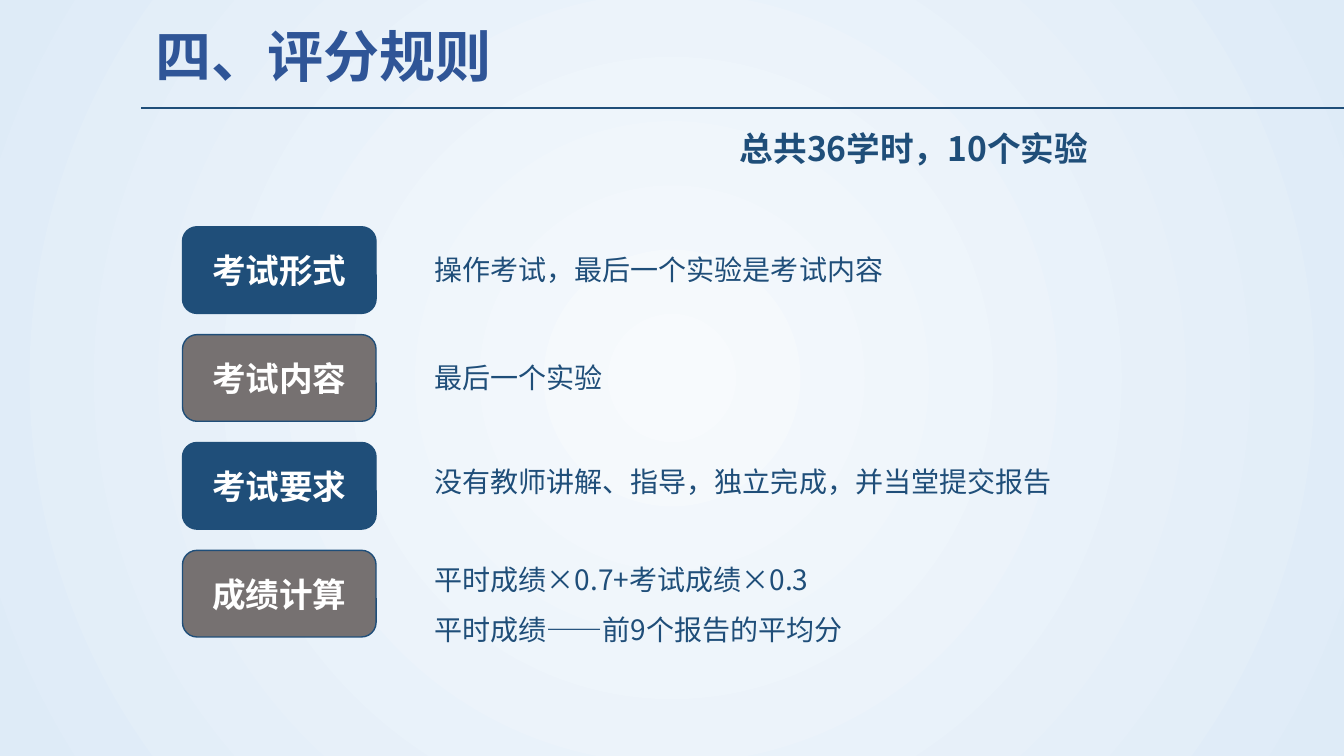
from dataclasses import dataclass

from lxml.etree import SubElement
from pptx import Presentation
from pptx.dml.color import RGBColor
from pptx.enum.shapes import MSO_CONNECTOR, MSO_SHAPE
from pptx.enum.text import MSO_ANCHOR, PP_ALIGN
from pptx.oxml import parse_xml
from pptx.oxml.ns import nsdecls, qn
from pptx.util import Inches, Pt


@dataclass(frozen=True)
class Theme:
    """Font, colours and type sizes of the slide."""
    font: str = "Noto Sans CJK SC"
    navy: str = "1F4E79"
    grey: str = "767171"
    title: str = "2F5597"
    white: str = "FFFFFF"
    center: str = "F7FAFD"
    edge: str = "DEEBF7"
    title_size: int = 40
    label_size: int = 24
    body_size: int = 20


THEME = Theme()
RULES = [
    ("考试形式", ["操作考试，最后一个实验是考试内容"], 2.46, 0.44),
    ("考试内容", ["最后一个实验"], 3.53, 0.44),
    ("考试要求", ["没有教师讲解、指导，独立完成，并当堂提交报告"], 4.56, 0.44),
    ("成绩计算", ["平时成绩×0.7+考试成绩×0.3", "平时成绩——前9个报告的平均分"], 5.36, 1.05),
]


def color(value):
    """Turn a hex string into a colour."""
    return RGBColor.from_string(value)


def write(frame, lines, *, size=THEME.body_size, ink=THEME.navy, bold=False,
          align=PP_ALIGN.LEFT, anchor=MSO_ANCHOR.TOP, spacing=None):
    """Fill a text frame with formatted paragraphs."""
    frame.word_wrap = True
    frame.vertical_anchor = anchor
    for index, line in enumerate(lines):
        para = frame.add_paragraph() if index else frame.paragraphs[0]
        para.alignment = align
        para.line_spacing = spacing
        span = para.add_run()
        span.text = line
        span.font.size = Pt(size)
        span.font.bold = bold
        span.font.color.rgb = color(ink)
        span.font.name = THEME.font
        SubElement(span.font._element, qn("a:ea"), typeface=THEME.font)


def paint_background(page):
    """Give the page a gradient that spreads from its middle."""
    fill = page.background.fill
    fill.gradient()
    for stop, value in zip(fill.gradient_stops, (THEME.center, THEME.edge)):
        stop.color.rgb = color(value)
    linear = page.element.find(".//" + qn("a:lin"))
    linear.getparent().replace(linear, parse_xml(
        f'<a:path {nsdecls("a")} path="circle">'
        '<a:fillToRect l="50000" t="50000" r="50000" b="50000"/></a:path>'))


def add_title(page, text):
    """Place and format the title placeholder."""
    title = page.shapes.title
    title.left, title.top = Inches(1.44), Inches(0.1)
    title.width, title.height = Inches(11.43), Inches(0.98)
    write(title.text_frame, [text], size=THEME.title_size, ink=THEME.title,
          bold=True, anchor=MSO_ANCHOR.MIDDLE, spacing=0.9)


def add_rule_line(page):
    """Draw the line under the title."""
    line = page.shapes.add_connector(
        MSO_CONNECTOR.STRAIGHT, Inches(1.4), Inches(1.07), Inches(13.33), Inches(1.07))
    line.line.color.rgb = color(THEME.navy)
    line.line.width = Pt(1.25)
    SubElement(line._element.spPr, qn("a:effectLst"))


def add_label(page, text, top, fill):
    """Draw a rounded label box."""
    box = page.shapes.add_shape(MSO_SHAPE.ROUNDED_RECTANGLE, Inches(1.81),
                                Inches(top), Inches(1.92), Inches(0.86))
    box.shadow.inherit = False
    box.fill.solid()
    box.fill.fore_color.rgb = color(fill)
    box.line.color.rgb = color(THEME.navy)
    box.line.width = Pt(1)
    write(box.text_frame, [text], size=THEME.label_size, ink=THEME.white, bold=True,
          align=PP_ALIGN.CENTER, anchor=MSO_ANCHOR.MIDDLE)


def add_text(page, lines, left, top, width, height, **style):
    """Add a text box."""
    box = page.shapes.add_textbox(Inches(left), Inches(top), Inches(width), Inches(height))
    write(box.text_frame, lines, **style)


def main():
    """Build the slide of grading rules."""
    deck = Presentation()
    deck.slide_width, deck.slide_height = Inches(13.33), Inches(7.5)
    page = deck.slides.add_slide(deck.slide_layouts[5])
    paint_background(page)
    add_rule_line(page)
    add_title(page, "四、评分规则")
    add_text(page, ["总共36学时，10个实验"], 7.24, 1.22, 3.69, 0.5,
             size=THEME.label_size, bold=True)
    for row, (label, lines, top, height) in enumerate(RULES):
        add_label(page, label, 2.25 + 1.07 * row, THEME.grey if row % 2 else THEME.navy)
        add_text(page, lines, 4.21, top, 7.61, height,
                 spacing=1.5 if len(lines) > 1 else None)
    deck.save("out.pptx")


if __name__ == "__main__":
    main()
